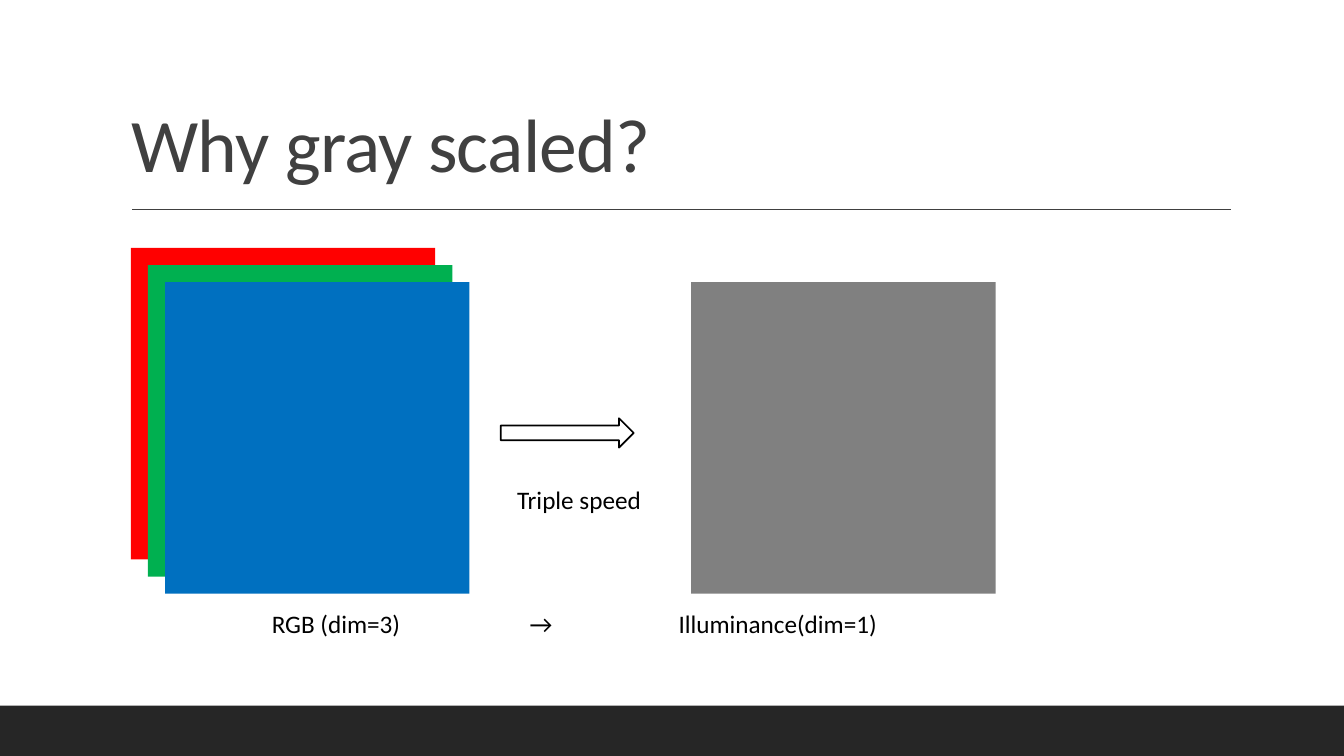
from dataclasses import dataclass

from lxml.etree import SubElement
from pptx import Presentation
from pptx.dml.color import RGBColor as RGB
from pptx.enum.shapes import MSO_CONNECTOR as CONN, MSO_SHAPE as SHAPE
from pptx.enum.text import MSO_ANCHOR as ANCHOR, MSO_AUTO_SIZE as AUTO, PP_ALIGN as ALIGN
from pptx.oxml.ns import qn
from pptx.util import Cm, Pt


@dataclass(frozen=True)
class Theme:
    font: str = "Calibri"
    title_size: int = 54
    body_size: int = 18
    title: str = "404040"
    text: str = "000000"
    footer: str = "262626"
    paper: str = "FFFFFF"
    channels: tuple = ("FF0000", "00B050", "0070C0")
    gray: str = "808080"


THEME = Theme()
SQUARE = (7.67, 7.85)
STACK_LEFT, STACK_TOP, STACK_STEP = 3.3, 6.25, 0.43


def apply(obj, **values):
    for name, value in values.items():
        setattr(obj, name, value)


def place(sp, left, top, width, height):
    apply(sp, left=Cm(left), top=Cm(top), width=Cm(width), height=Cm(height))


def write(p, text, size, color):
    r = p.add_run()
    r.text = text
    apply(r.font, name=THEME.font, size=Pt(size))
    r.font.color.rgb = RGB.from_string(color)
    return r


def add_title(slide, text, box):
    sp = slide.shapes.title
    place(sp, *box)
    tf = sp.text_frame
    apply(tf, vertical_anchor=ANCHOR.BOTTOM, auto_size=AUTO.NONE, word_wrap=True)
    p = tf.paragraphs[0]
    apply(p, alignment=ALIGN.LEFT, line_spacing=0.8)
    r = write(p, text, THEME.title_size, THEME.title)
    r.font._element.set("spc", "-50")


def add_block(slide, kind, box, fill, line=None):
    sp = slide.shapes.add_shape(kind, *map(Cm, box))
    sp.shadow.inherit = False
    sp.fill.solid()
    sp.fill.fore_color.rgb = RGB.from_string(fill)
    if line:
        sp.line.color.rgb = RGB.from_string(line)
        sp.line.width = Pt(1.25)
    else:
        sp.line.fill.background()


def add_rule(slide, left, right, y):
    line = slide.shapes.add_connector(CONN.STRAIGHT, Cm(left), Cm(y), Cm(right), Cm(y))
    line.line.color.rgb = RGB.from_string(THEME.title)
    line.line.width = Pt(1)
    SubElement(line._element.spPr, qn("a:effectLst"))


def add_label(slide, text, box, tabs=()):
    tf = slide.shapes.add_textbox(*map(Cm, box)).text_frame
    apply(tf, word_wrap=True, auto_size=AUTO.SHAPE_TO_FIT_TEXT)
    p = tf.paragraphs[0]
    if tabs:
        tab_list = SubElement(p._p.get_or_add_pPr(), qn("a:tabLst"))
        for pos in tabs:
            SubElement(tab_list, qn("a:tab"), pos=str(Cm(pos)), algn="l")
    write(p, text, THEME.body_size, THEME.text)


def main():
    prs = Presentation()
    apply(prs, slide_width=Cm(33.87), slide_height=Cm(19.05))
    slide = prs.slides.add_slide(prs.slide_layouts[5])

    # Frame: footer band, title and the rule below it
    add_block(slide, SHAPE.RECTANGLE, (0, 17.78, 33.87, 1.27), THEME.footer)
    add_rule(slide, 3.33, 31.01, 5.28)
    add_title(slide, "Why gray scaled?", (3.05, 0.79, 27.94, 4.04))

    # Stacked colour channels
    for i, color in enumerate(THEME.channels):
        shift = i * STACK_STEP
        add_block(slide, SHAPE.RECTANGLE,
                  (STACK_LEFT + shift, STACK_TOP + shift, *SQUARE), color)

    # Conversion to a single gray channel
    add_block(slide, SHAPE.RIGHT_ARROW, (12.62, 10.54, 3.35, 0.74), THEME.paper, THEME.text)
    add_block(slide, SHAPE.RECTANGLE, (17.42, STACK_TOP + 2 * STACK_STEP, *SQUARE), THEME.gray)

    # Captions
    add_label(slide, "RGB (dim=3)\t→\tIlluminance(dim=1)",
              (6.6, 15.21, 17.32, 1.02), tabs=(6.5, 10.25))
    add_label(slide, "Triple speed", (12.78, 12.09, 3.66, 1.02))

    prs.save("out.pptx")


if __name__ == "__main__":
    main()
